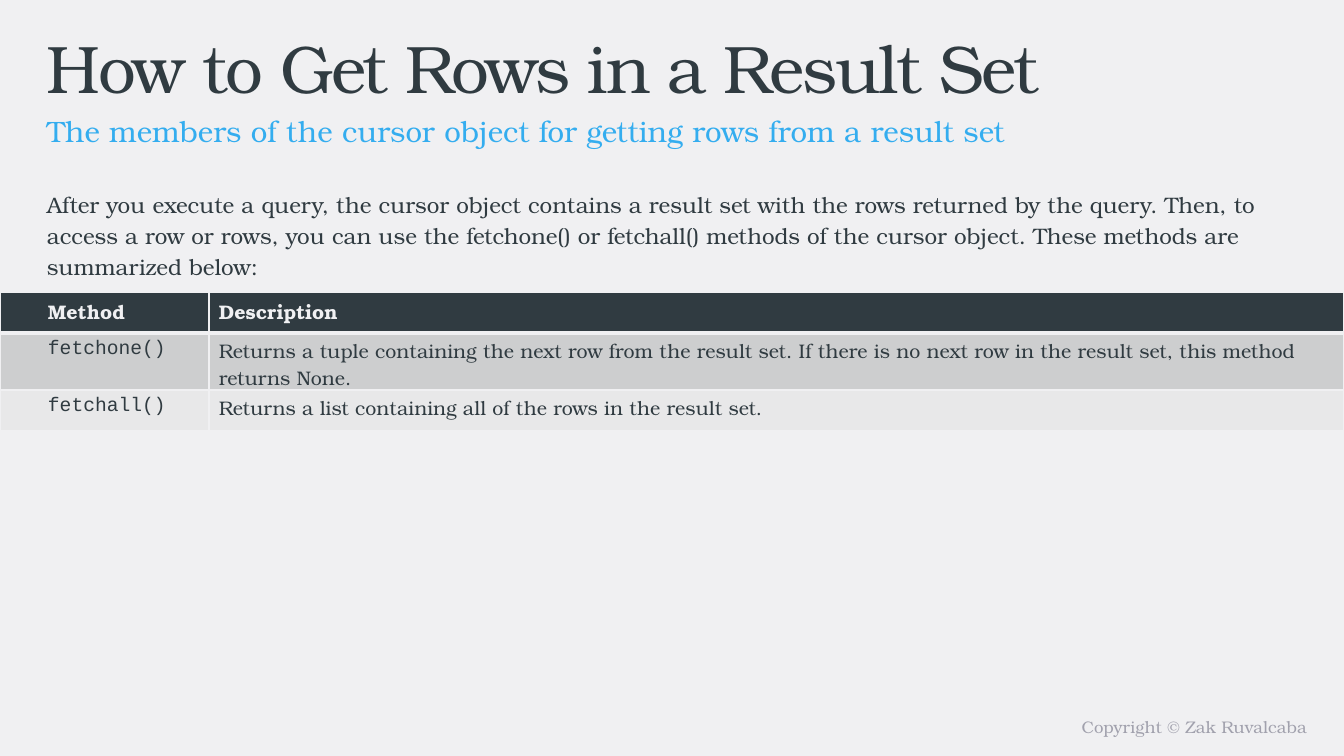
from lxml import etree
from pptx import Presentation
from pptx import util as u
from pptx.dml.color import RGBColor
from pptx.enum import text
from pptx.oxml.ns import qn

PAPER = RGBColor(0xF0, 0xF0, 0xF2)
INK = RGBColor(0x30, 0x3B, 0x41)
BLUE = RGBColor(0x34, 0xAD, 0xEF)
GREY = RGBColor(0xA1, 0xA1, 0xAD)
ROW_FILLS = [INK, RGBColor(0xCD, 0xCE, 0xCF), RGBColor(0xE8, 0xE8, 0xE9)]
SERIF, MONO = "TeX Gyre Bonum", "Courier New"
LEFT, RIGHT = text.PP_ALIGN.LEFT, text.PP_ALIGN.RIGHT

TEXTS = [
    ("Copyright © Zak Ruvalcaba", (672, 712, 645, 31), 12, GREY,
     {"alignment": RIGHT}, 0),
    ("How to Get Rows in a Result Set", (37, 21, 1185, 80), 48, INK,
     {"alignment": LEFT}, -150),
    ("The members of the cursor object for getting rows from a result set",
     (37, 103, 1185, 39), 21, BLUE, {"line_spacing": 1.16}, 0),
    ("After you execute a query, the cursor object contains a result set with "
     "the rows returned by the query. Then, to access a row or rows, you can use "
     "the fetchone() or fetchall() methods of the cursor object. These methods "
     "are summarized below:",
     (37, 182, 1269, 87), 16, INK, {"line_spacing": 1.16}, 0),
]
METHODS = [
    ("Method", "Description"),
    ("fetchone()", "Returns a tuple containing the next row from the result set. "
     "If there is no next row in the result set, this method returns None."),
    ("fetchall()", "Returns a list containing all of the rows in the result set."),
]
TABLE_TOP, ROW_HEIGHT = 292, 41
COLUMN_WIDTHS = [209, 1135]
CELL_INSETS = [48, 10]


def px(length):
    return u.Emu(round(length * 914400 / 100.8))


def set_all(target, values):
    for name, value in values.items():
        setattr(target, name, value)


def write(para, words, font, color):
    span = para.add_run()
    span.text = words
    set_all(span.font, font)
    span.font.color.rgb = color
    return span


def add_border(cell, side, points):
    line = etree.SubElement(cell._tc.get_or_add_tcPr(), qn("a:" + side),
                            w=str(u.Pt(points)))
    fill = etree.SubElement(line, qn("a:solidFill"))
    etree.SubElement(fill, qn("a:srgbClr"), val=str(PAPER))


def add_text(page, words, place, size, color, layout, tracking):
    box = page.shapes.add_textbox(*map(px, place))
    box.text_frame.word_wrap = True
    para = box.text_frame.paragraphs[0]
    set_all(para, layout)
    span = write(para, words, {"name": SERIF, "size": u.Pt(size)}, color)
    if tracking:
        span.font._element.set("spc", str(tracking))


def add_methods(page):
    place = (0, TABLE_TOP, sum(COLUMN_WIDTHS), ROW_HEIGHT * len(METHODS))
    table = page.shapes.add_table(len(METHODS), len(COLUMN_WIDTHS),
                                  *map(px, place)).table
    for column, width in zip(table.columns, COLUMN_WIDTHS):
        column.width = px(width)
    for r, row in enumerate(METHODS):
        table.rows[r].height = px(ROW_HEIGHT)
        header = r == 0
        for c, words in enumerate(row):
            cell = table.cell(r, c)
            set_all(cell, {"margin_left": px(CELL_INSETS[c]), "margin_right": px(10),
                           "margin_top": px(5), "margin_bottom": px(5)})
            for side in ("lnL", "lnR", "lnT", "lnB"):
                thick = (header and side == "lnB") or (r == 1 and side == "lnT")
                add_border(cell, side, 3 if thick else 1)
            cell.fill.solid()
            cell.fill.fore_color.rgb = ROW_FILLS[r]
            name = MONO if c == 0 and not header else SERIF
            write(cell.text_frame.paragraphs[0], words,
                  {"name": name, "size": u.Pt(14), "bold": header},
                  PAPER if header else INK)


def main():
    deck = Presentation()
    set_all(deck, {"slide_width": px(1344), "slide_height": px(756)})
    page = deck.slides.add_slide(deck.slide_layouts[6])
    page.background.fill.solid()
    page.background.fill.fore_color.rgb = PAPER
    for item in TEXTS:
        add_text(page, *item)
    add_methods(page)
    deck.save("out.pptx")


if __name__ == "__main__":
    main()
